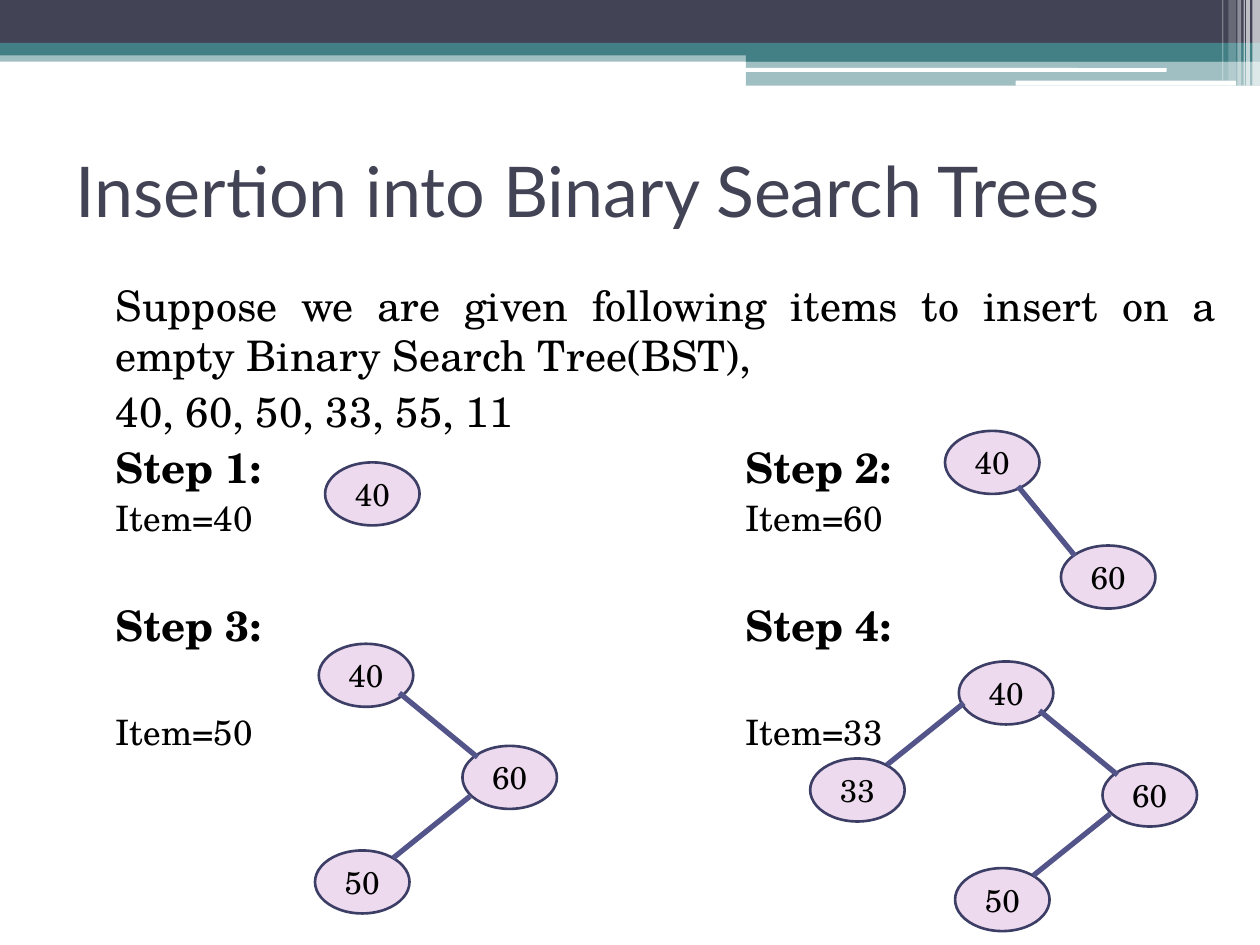
"""Build a slide that shows insertion into a binary search tree step by step."""
from typing import NamedTuple

from lxml.etree import SubElement
from pptx import Presentation
from pptx.dml.color import RGBColor
from pptx.enum.shapes import MSO_CONNECTOR, MSO_SHAPE
from pptx.enum.text import MSO_ANCHOR, PP_ALIGN
from pptx.oxml.ns import qn
from pptx.util import Inches, Pt

BODY_FONT, TITLE_FONT = "TeX Gyre Schola", "Lato"
BLACK, WHITE, NAVY, TEAL = "000000", "FFFFFF", "424456", "438086"
NODE_FILL, NODE_LINE, EDGE_COLOR = "EDDAEE", "3D3E66", "53548A"
NODE_WIDTH, NODE_HEIGHT = 0.75, 0.5
SECOND_COLUMN = 5.0


class Band(NamedTuple):
    left: float
    top: float
    width: float
    height: float
    color: str
    opacity: int = 100
    rounded: bool = False


class Node(NamedTuple):
    value: int
    left: float
    top: float


class Edge(NamedTuple):
    x1: float
    y1: float
    x2: float
    y2: float


class Tree(NamedTuple):
    nodes: list[Node]
    edges: list[Edge]


class Line(NamedTuple):
    text: str
    size: int = 24
    bold: bool = False
    space_before: float = 3
    align: PP_ALIGN = PP_ALIGN.LEFT


BANDS = [
    Band(0, 0.4, 10, 0.09, TEAL, 50),
    Band(0, 0, 10, 0.34, NAVY),
    Band(0, 0.34, 10, 0.1, TEAL),
    Band(5.92, 0.39, 4.08, 0.1, TEAL),
    Band(5.92, 0.48, 4.08, 0.2, TEAL, 50),
    Band(5.91, 0.54, 3.35, 0.03, WHITE, rounded=True),
    Band(8.06, 0.64, 1.75, 0.04, WHITE, rounded=True),
    Band(9.94, 0, 0.06, 0.68, WHITE, 65),
    Band(9.89, 0, 0.03, 0.68, WHITE, 65),
    Band(9.87, 0, 0.01, 0.68, WHITE, 60),
    Band(9.82, 0, 0.03, 0.68, WHITE, 40),
    Band(9.75, 0, 0.06, 0.64, WHITE, 20),
    Band(9.7, 0, 0.01, 0.64, WHITE, 30),
]

BLANK_GAP = 34.6
LINES = [
    Line("Suppose we are given following items to insert on a empty "
         "Binary Search Tree(BST),", align=PP_ALIGN.JUSTIFY),
    Line("40, 60, 50, 33, 55, 11"),
    Line("Step 1:\tStep 2:", bold=True),
    Line("Item=40\tItem=60", size=20),
    Line("Step 3:\tStep 4:", bold=True, space_before=BLANK_GAP),
    Line("Item=50\tItem=33", size=20, space_before=BLANK_GAP),
]

STEP_1 = Tree([Node(40, 2.58, 3.67)], [])
STEP_2 = Tree([Node(40, 7.5, 3.42), Node(60, 8.42, 4.33)],
              [Edge(8.08, 3.86, 8.53, 4.41)])
STEP_3 = Tree([Node(40, 2.53, 5.11), Node(60, 3.67, 5.92), Node(50, 2.5, 6.75)],
              [Edge(3.17, 5.5, 3.79, 6.01), Edge(3.73, 6.32, 3.12, 6.81)])
STEP_4_ADDED = Tree([Node(33, 6.43, 6.02)], [Edge(7.65, 5.58, 7.04, 6.07)])
STEP_4_SHIFT = (5.08, 0.14)


def rgb(color: str) -> RGBColor:
    return RGBColor.from_string(color)


def style_font(paragraph, name: str, size: int, color: str, bold: bool = False) -> None:
    for run in paragraph.runs:
        run.font.name = name
        run.font.size = Pt(size)
        run.font.bold = bold
        run.font.color.rgb = rgb(color)


def draw_band(slide, band: Band) -> None:
    kind = MSO_SHAPE.ROUNDED_RECTANGLE if band.rounded else MSO_SHAPE.RECTANGLE
    bar = slide.shapes.add_shape(kind, Inches(band.left), Inches(band.top),
                                 Inches(band.width), Inches(band.height))
    bar.shadow.inherit = False
    bar.fill.solid()
    bar.fill.fore_color.rgb = rgb(band.color)
    bar.line.fill.background()
    if band.opacity < 100:
        color = bar._element.spPr.find(qn("a:solidFill"))[0]
        SubElement(color, qn("a:alpha"), val=str(band.opacity * 1000))


def draw_title(slide, text: str) -> None:
    title = slide.shapes.add_textbox(Inches(0.5), Inches(0.92), Inches(9), Inches(1.17))
    frame = title.text_frame
    frame.word_wrap = True
    frame.vertical_anchor = MSO_ANCHOR.MIDDLE
    frame.text = text
    style_font(frame.paragraphs[0], TITLE_FONT, 40, NAVY)


def draw_steps(slide, lines: list[Line]) -> None:
    steps = slide.shapes.add_textbox(Inches(0.82), Inches(2.17), Inches(8.93), Inches(5.33))
    frame = steps.text_frame
    frame.word_wrap = True
    for index, line in enumerate(lines):
        paragraph = frame.add_paragraph() if index else frame.paragraphs[0]
        paragraph.text = line.text
        paragraph.alignment = line.align
        paragraph.space_before = Pt(line.space_before)
        style_font(paragraph, BODY_FONT, line.size, BLACK, line.bold)
        if "\t" in line.text:
            stops = SubElement(paragraph._p.get_or_add_pPr(), qn("a:tabLst"))
            SubElement(stops, qn("a:tab"), pos=str(Inches(SECOND_COLUMN)), algn="l")


def draw_node(slide, node: Node, dx: float, dy: float) -> None:
    oval = slide.shapes.add_shape(MSO_SHAPE.OVAL, Inches(node.left + dx), Inches(node.top + dy),
                                  Inches(NODE_WIDTH), Inches(NODE_HEIGHT))
    oval.shadow.inherit = False
    oval.fill.solid()
    oval.fill.fore_color.rgb = rgb(NODE_FILL)
    oval.line.color.rgb = rgb(NODE_LINE)
    oval.line.width = Pt(1.5)
    frame = oval.text_frame
    frame.vertical_anchor = MSO_ANCHOR.MIDDLE
    frame.text = str(node.value)
    frame.paragraphs[0].alignment = PP_ALIGN.CENTER
    style_font(frame.paragraphs[0], BODY_FONT, 18, BLACK)


def draw_edge(slide, edge: Edge, dx: float, dy: float) -> None:
    link = slide.shapes.add_connector(MSO_CONNECTOR.STRAIGHT,
                                      Inches(edge.x1 + dx), Inches(edge.y1 + dy),
                                      Inches(edge.x2 + dx), Inches(edge.y2 + dy))
    link.line.color.rgb = rgb(EDGE_COLOR)
    link.line.width = Pt(3)
    SubElement(link._element.spPr, qn("a:effectLst"))


def draw_tree(slide, tree: Tree, dx: float = 0, dy: float = 0) -> None:
    for node in tree.nodes:
        draw_node(slide, node, dx, dy)
    for edge in tree.edges:
        draw_edge(slide, edge, dx, dy)


def main() -> None:
    presentation = Presentation()
    presentation.slide_width, presentation.slide_height = Inches(10), Inches(7.5)
    slide = presentation.slides.add_slide(presentation.slide_layouts[6])
    for band in BANDS:
        draw_band(slide, band)
    draw_title(slide, "Insertion into Binary Search Trees")
    draw_steps(slide, LINES)
    for tree in (STEP_1, STEP_2, STEP_3):
        draw_tree(slide, tree)
    draw_tree(slide, STEP_3, *STEP_4_SHIFT)
    draw_tree(slide, STEP_4_ADDED)
    presentation.save("out.pptx")


if __name__ == "__main__":
    main()
